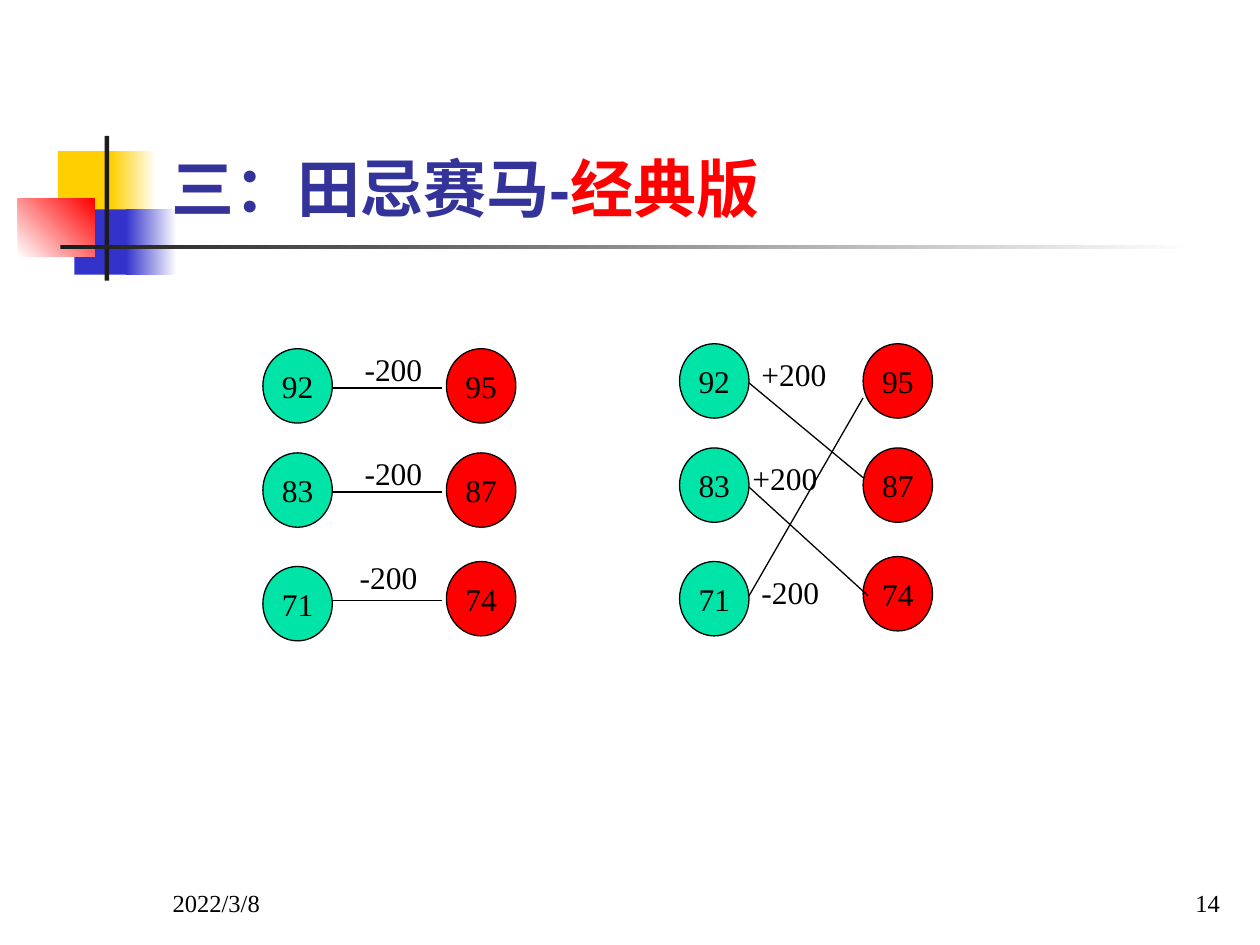
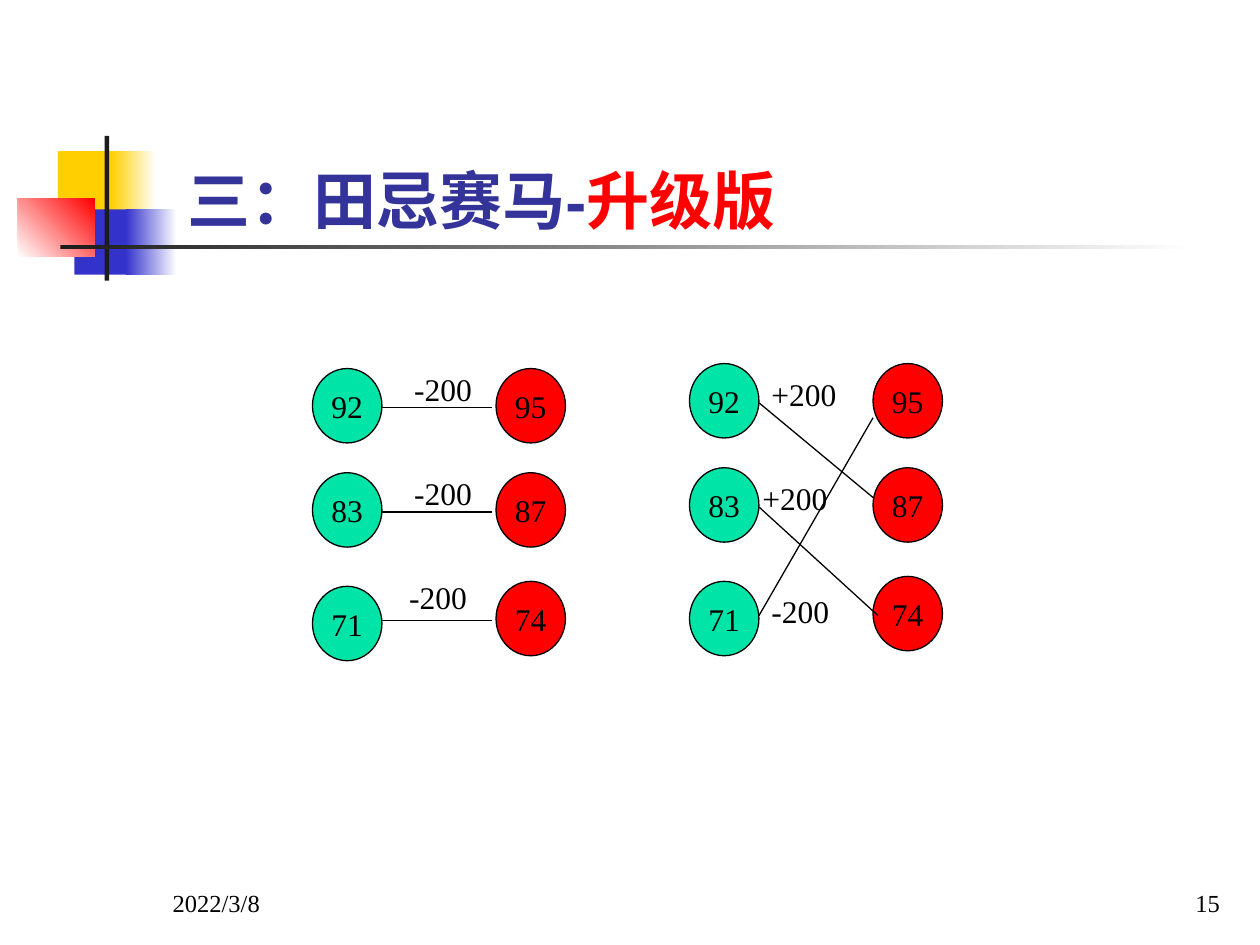
from lxml import etree
from pptx import Presentation
from pptx.dml.color import RGBColor
from pptx.enum.shapes import MSO_CONNECTOR, MSO_SHAPE
from pptx.enum.text import MSO_ANCHOR, PP_ALIGN
from pptx.oxml.ns import qn
from pptx.util import Cm, Pt

RECT, OVAL = MSO_SHAPE.RECTANGLE, MSO_SHAPE.OVAL
STRAIGHT = MSO_CONNECTOR.STRAIGHT
TOP, MIDDLE, BOTTOM = MSO_ANCHOR.TOP, MSO_ANCHOR.MIDDLE, MSO_ANCHOR.BOTTOM
LEFT, CENTER, RIGHT = PP_ALIGN.LEFT, PP_ALIGN.CENTER, PP_ALIGN.RIGHT

HEX = {
    "white": "FFFFFF", "black": "000000", "ink": "1C1C1C",
    "yellow": "FFCF01", "blue": "3333CC", "red": "FF0000",
    "title": "333399", "green": "00E4A8",
}
COLORS = {name: RGBColor.from_string(value) for name, value in HEX.items()}
TITLE_FONT, BODY_FONT = "Arial", "Times New Roman"

# Title ornament: left, top, width, height, start colour, end colour, angle
ORNAMENT = [
    (1.17, 3.05, 1.22, 1.32, "yellow", None, 0),
    (2.24, 3.05, 0.91, 1.32, "yellow", "white", 0),
    (1.50, 4.22, 1.17, 1.32, "blue", None, 0),
    (2.54, 4.22, 1.02, 1.32, "blue", "white", 0),
    (0.36, 4.01, 1.55, 1.17, "white", "red", 45),
    (2.11, 2.74, 0.09, 2.92, "ink", None, 0),
    (1.22, 4.94, 22.86, 0.09, "ink", "white", 0),
]

# Horses: speed and top, measured from the top left of the diagram
HORSE_W, HORSE_H = 1.40, 1.50
KING_X = 3.70
TIANJI = [("92", 0), ("83", 2.10), ("71", 4.39)]
KING = [("95", 0), ("87", 2.10), ("74", 4.29)]
RACE_Y = [0.79, 2.89, 5.08]  # where the line of each of Tianji's horses starts

# Races: line end, then result with its left, top and width
SAME_RANK = [
    ((3.61, 0.79), ("-200", 1.80, -0.10, 1.80)),
    ((3.61, 2.89), ("-200", 1.80, 2.00, 1.80)),
    ((3.61, 5.08), ("-200", 1.70, 4.09, 1.80)),
]
SHIFTED = [
    ((3.70, 2.70), ("+200", 1.40, 0.10, 2.00)),
    ((3.80, 5.08), ("+200", 1.22, 2.20, 2.10)),
    ((3.70, 1.09), ("-200", 1.40, 4.49, 1.80)),
]

SLIDES = [
    {"version": "经典版", "number": "14", "title_box": (3.20, 2.13, 21.64, 2.54),
     "diagrams": [(5.30, 7.03, SAME_RANK), (13.70, 6.93, SHIFTED)]},
    {"version": "升级版", "number": "15", "title_box": (3.53, 1.73, 19.38, 3.18),
     "diagrams": [(6.30, 7.43, SAME_RANK), (13.90, 7.33, SHIFTED)]},
]


def write(sp, runs, size, font=BODY_FONT, anchor=TOP, align=LEFT, bold=False, wrap=True):
    """Fill a shape with one paragraph of (text, colour) runs."""
    tf = sp.text_frame
    tf.word_wrap = wrap
    tf.vertical_anchor = anchor
    p = tf.paragraphs[0]
    p.alignment = align
    for text, color in runs:
        r = p.add_run()
        r.text = text
        r.font.size = Pt(size)
        r.font.name = font
        r.font.bold = bold
        r.font.color.rgb = COLORS[color]


def add_filled(shapes, kind, box, color, end=None, angle=0):
    """Add a shape without line or shadow; with an end colour it gets a gradient."""
    sp = shapes.add_shape(kind, *[Cm(v) for v in box])
    sp.shadow.inherit = False
    sp.line.fill.background()
    if end:
        sp.fill.gradient()
        sp.fill.gradient_angle = angle
        for stop, name in zip(sp.fill.gradient_stops, (color, end)):
            stop.color.rgb = COLORS[name]
    else:
        sp.fill.solid()
        sp.fill.fore_color.rgb = COLORS[color]
    return sp


prs = Presentation()
prs.slide_width, prs.slide_height = Cm(25.4), Cm(19.05)

for page in SLIDES:
    s = prs.slides.add_slide(prs.slide_layouts[6])

    for *box, color, end, angle in ORNAMENT:
        add_filled(s.shapes, RECT, box, color, end, angle)

    title = s.shapes.add_textbox(*[Cm(v) for v in page["title_box"]])
    write(title, [("三：田忌赛马-", "title"), (page["version"], "red")], 36,
          font=TITLE_FONT, anchor=BOTTOM, bold=True)

    for x, y, races in page["diagrams"]:
        shapes = s.shapes.add_group_shape().shapes

        for horses, dx, color in ((TIANJI, 0, "green"), (KING, KING_X, "red")):
            for speed, dy in horses:
                horse = add_filled(shapes, OVAL, (x + dx, y + dy, HORSE_W, HORSE_H), color)
                horse.line.color.rgb = COLORS["black"]
                horse.line.width = Pt(0.75)
                write(horse, [(speed, "black")], 18, anchor=MIDDLE, align=CENTER, wrap=False)

        for start_y, ((end_x, end_y), (result, dx, dy, width)) in zip(RACE_Y, races):
            race = shapes.add_connector(STRAIGHT, Cm(x + HORSE_W), Cm(y + start_y),
                                        Cm(x + end_x), Cm(y + end_y))
            race.line.color.rgb = COLORS["black"]
            race.line.width = Pt(0.75)
            etree.SubElement(race.element.spPr, qn("a:effectLst"))
            label = shapes.add_textbox(Cm(x + dx), Cm(y + dy), Cm(width), Cm(1.02))
            write(label, [(result, "black")], 18)

    for text, left, align in (("2022/3/8", 3.23, LEFT), (page["number"], 19.56, RIGHT)):
        footer = s.shapes.add_textbox(Cm(left), Cm(17.35), Cm(5.28), Cm(1.27))
        write(footer, [(text, "black")], 14, anchor=BOTTOM, align=align)

prs.save("out.pptx")
